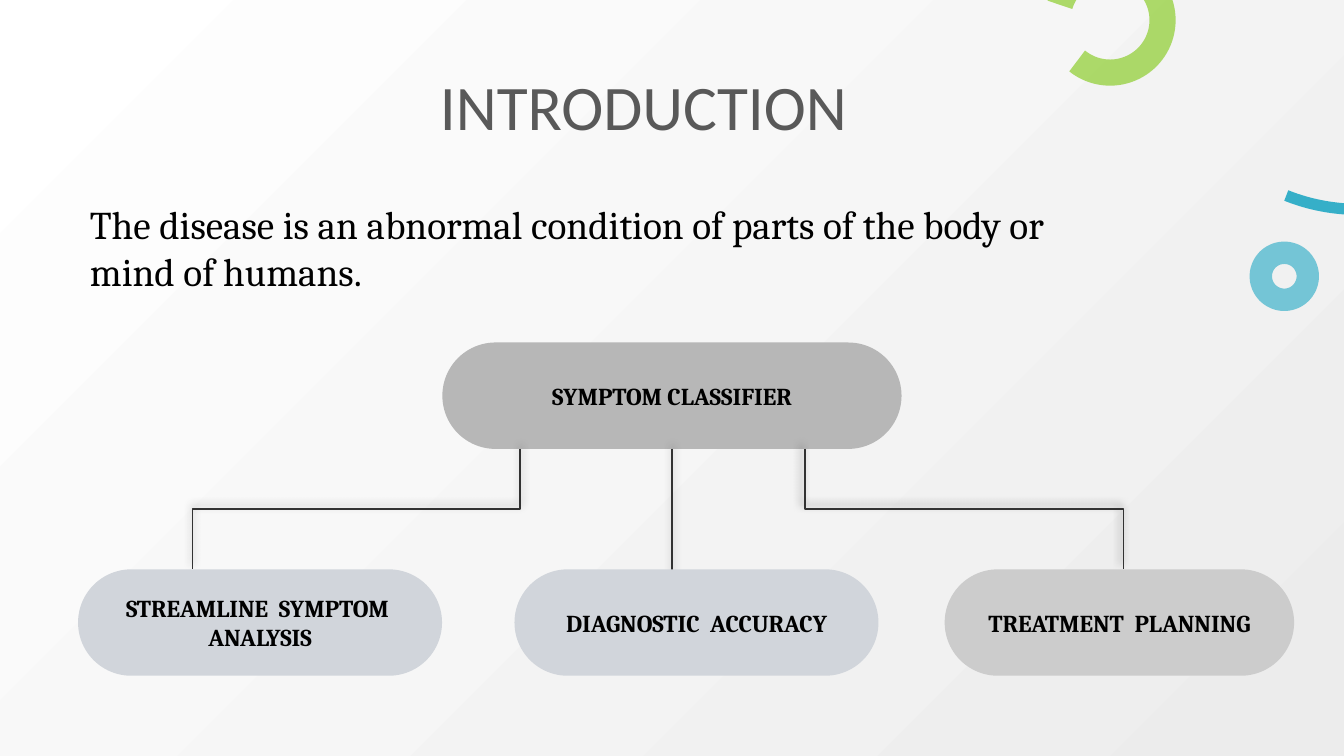
import pptx
import pptx.util
import pptx.dml.color
import pptx.enum.shapes
import pptx.enum.text
import pptx.oxml
import pptx.oxml.ns

Pt = pptx.util.Pt
SHAPE = pptx.enum.shapes.MSO_SHAPE
CONNECTOR = pptx.enum.shapes.MSO_CONNECTOR
ALIGN = pptx.enum.text.PP_ALIGN
ANCHOR = pptx.enum.text.MSO_ANCHOR
qn = pptx.oxml.ns.qn


def rgb(hex_string):
    return pptx.dml.color.RGBColor.from_string(hex_string)


def set_text(sp, text, size, font="Cambria", color="000000", bold=False,
             align=ALIGN.LEFT, anchor=ANCHOR.TOP, inset=(7.2, 7.2, 7.2, 7.2)):
    """Fill a shape with one paragraph; inset is left, top, right, bottom."""
    tf = sp.text_frame
    tf.word_wrap = True
    tf.vertical_anchor = anchor
    tf.margin_left, tf.margin_top, tf.margin_right, tf.margin_bottom = map(Pt, inset)
    p = tf.paragraphs[0]
    p.alignment = align
    r = p.add_run()
    r.text = text
    r.font.name, r.font.size, r.font.bold = font, Pt(size), bold
    r.font.color.rgb = rgb(color)


def add_background(s):
    fill = s.background.fill
    fill.gradient()
    fill.gradient_angle = 315
    for stop, color in zip(fill.gradient_stops, ("FFFFFF", "ECECEC")):
        stop.color.rgb = rgb(color)


def add_ring(s, kind, x, y, size, color, width, opacity, angles=()):
    """Outline of a circle or arc; angles are start and end in degrees."""
    sp = s.shapes.add_shape(kind, Pt(x), Pt(y), Pt(size), Pt(size))
    sp.shadow.inherit = False
    for i, angle in enumerate(angles):
        sp.adjustments[i] = angle * 0.6  # 60000 units per degree
    sp.fill.background()
    sp.line.width = Pt(width)
    sp.line.color.rgb = rgb(color)
    clr = sp.line._ln.find(".//" + qn("a:srgbClr"))
    pptx.oxml.ns  # namespace helpers
    clr.append(pptx.oxml.parse_xml(
        f'<a:alpha {pptx.oxml.ns.nsdecls("a")} val="{opacity * 1000}"/>'))


def add_rings(s):
    add_ring(s, SHAPE.ARC, 622.8, -98, 210.2, "22A8C4", 6, 90, (56.01, 111.67))
    add_ring(s, SHAPE.OVAL, 675.4, 135.4, 25.2, "22A8C4", 12, 60)
    add_ring(s, SHAPE.ARC, 566.6, -17.3, 56.2, "86CB21", 14, 65, (196.99, 128.89))


def add_heading(s, x, y, w, h):
    sp = s.shapes.title
    sp.left, sp.top, sp.width, sp.height = map(Pt, (x, y, w, h))
    set_text(sp, "INTRODUCTION", 34, font="Calibri", color="595959",
             anchor=ANCHOR.MIDDLE, inset=(7.2, 3.6, 7.2, 3.6))


def add_definition(s, x, y, w, h):
    sp = s.shapes.add_textbox(Pt(x), Pt(y), Pt(w), Pt(h))
    set_text(sp, "The disease is an abnormal condition of parts of the body "
             "or mind of humans. ", 21, inset=(14.4, 7.2, 7.2, 3.6))


def add_pill(s, text, x, y, w, h, color):
    sp = s.shapes.add_shape(SHAPE.ROUNDED_RECTANGLE, Pt(x), Pt(y), Pt(w), Pt(h))
    sp.shadow.inherit = False
    sp.adjustments[0] = 0.5
    sp.fill.solid()
    sp.fill.fore_color.rgb = rgb(color)
    sp.line.fill.background()
    set_text(sp, text, 13, bold=True, align=ALIGN.CENTER, anchor=ANCHOR.MIDDLE)
    return sp


def style_link(c, opacity=37, distance=2.2, direction=279):
    c.line.width = Pt(0.75)
    c.line.color.rgb = rgb("323232")
    c._element.spPr.append(pptx.oxml.parse_xml(
        f'<a:effectLst {pptx.oxml.ns.nsdecls("a")}>'
        f'<a:outerShdw blurRad="{Pt(4.5)}" dist="{Pt(distance)}" '
        f'dir="{direction * 60000}" rotWithShape="0">'
        f'<a:srgbClr val="000000"><a:alpha val="{opacity * 1000}"/></a:srgbClr>'
        '</a:outerShdw></a:effectLst>'))


def add_elbow(s, x1, y1, x2, y2):
    """Elbow that leaves downwards: a horizontal one turned a quarter."""
    cx, cy = (x1 + x2) / 2, (y1 + y2) / 2
    half_w, half_h = (y2 - y1) / 2, abs(x2 - x1) / 2
    side = 1 if x2 < x1 else -1  # a right-hand elbow is mirrored
    c = s.shapes.add_connector(
        CONNECTOR.ELBOW, Pt(cx - side * half_w), Pt(cy - half_h),
        Pt(cx + side * half_w), Pt(cy + half_h))
    angle = 90 if side == 1 else 270
    c._element.spPr.find(qn("a:xfrm")).set("rot", str(angle * 60000))
    return c


def add_classifier_tree(s, x, y, w, h):
    pill_h = 57
    bottom, child_y = y + pill_h, y + h - pill_h
    root_x, root_w = x + 195.2, 246
    root = add_pill(s, "SYMPTOM CLASSIFIER", root_x, y, root_w, pill_h, "B7B7B7")

    style_link(add_elbow(s, x + 389.5, bottom, x + 560, child_y),
               opacity=50, distance=3, direction=231)
    style_link(add_elbow(s, x + 236.8, bottom, x + 61.2, child_y))
    center = root_x + root_w / 2
    stem = s.shapes.add_connector(CONNECTOR.STRAIGHT, Pt(center), Pt(bottom),
                                  Pt(center), Pt(child_y + 7))
    stem.begin_connect(root, 2)
    style_link(stem)

    for text, left, width, color in (
            ("STREAMLINE  SYMPTOM  ANALYSIS", x, 195, "D1D5DB"),
            ("DIAGNOSTIC  ACCURACY", x + 233.8, 195, "D1D5DB"),
            ("TREATMENT  PLANNING", x + w - 187.2, 187.2, "CCCCCC")):
        add_pill(s, text, left, child_y, width, pill_h, color)


def main():
    prs = pptx.Presentation()
    prs.slide_width, prs.slide_height = Pt(720), Pt(405)
    s = prs.slides.add_slide(prs.slide_layouts[5])
    add_background(s)
    add_rings(s)
    add_heading(s, 228.5, 27.5, 532.8, 57.6)
    add_definition(s, 33.8, 100, 532.8, 268)
    add_classifier_tree(s, 41.8, 183.5, 651.5, 178.5)
    prs.save("out.pptx")


if __name__ == "__main__":
    main()
